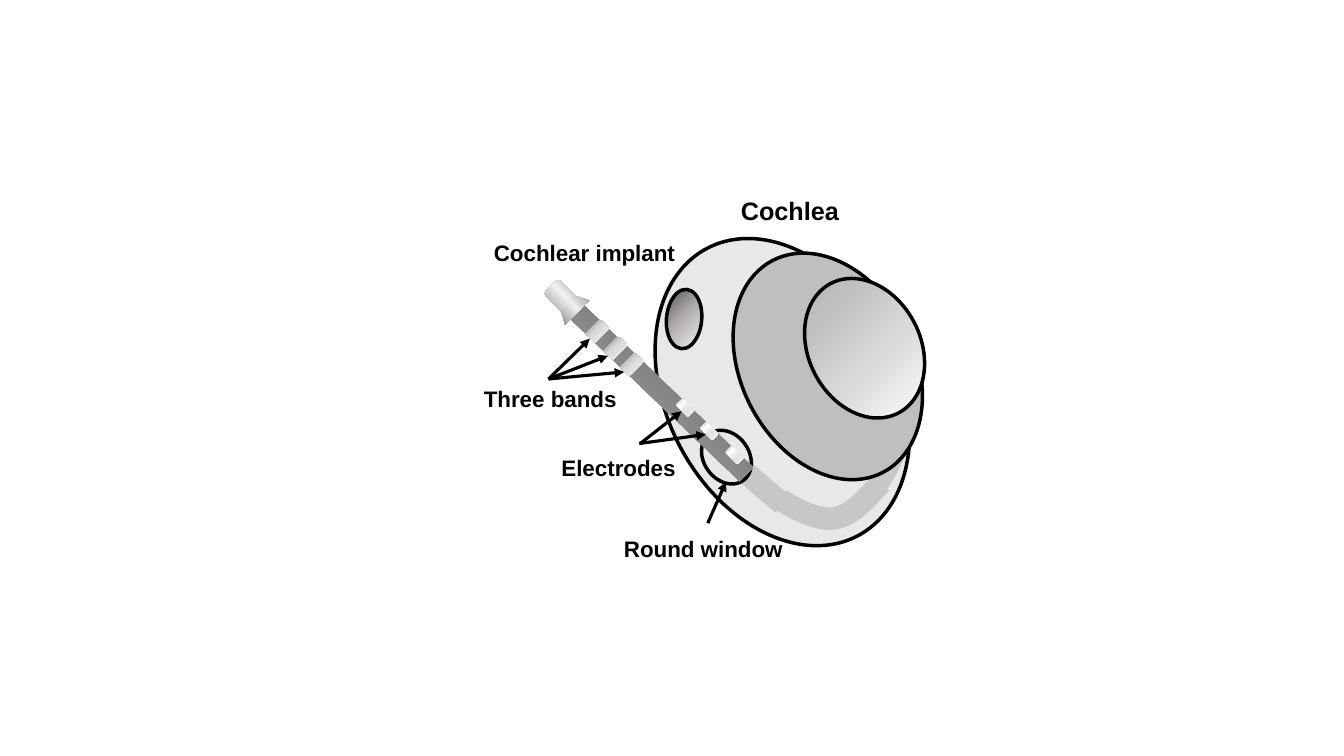
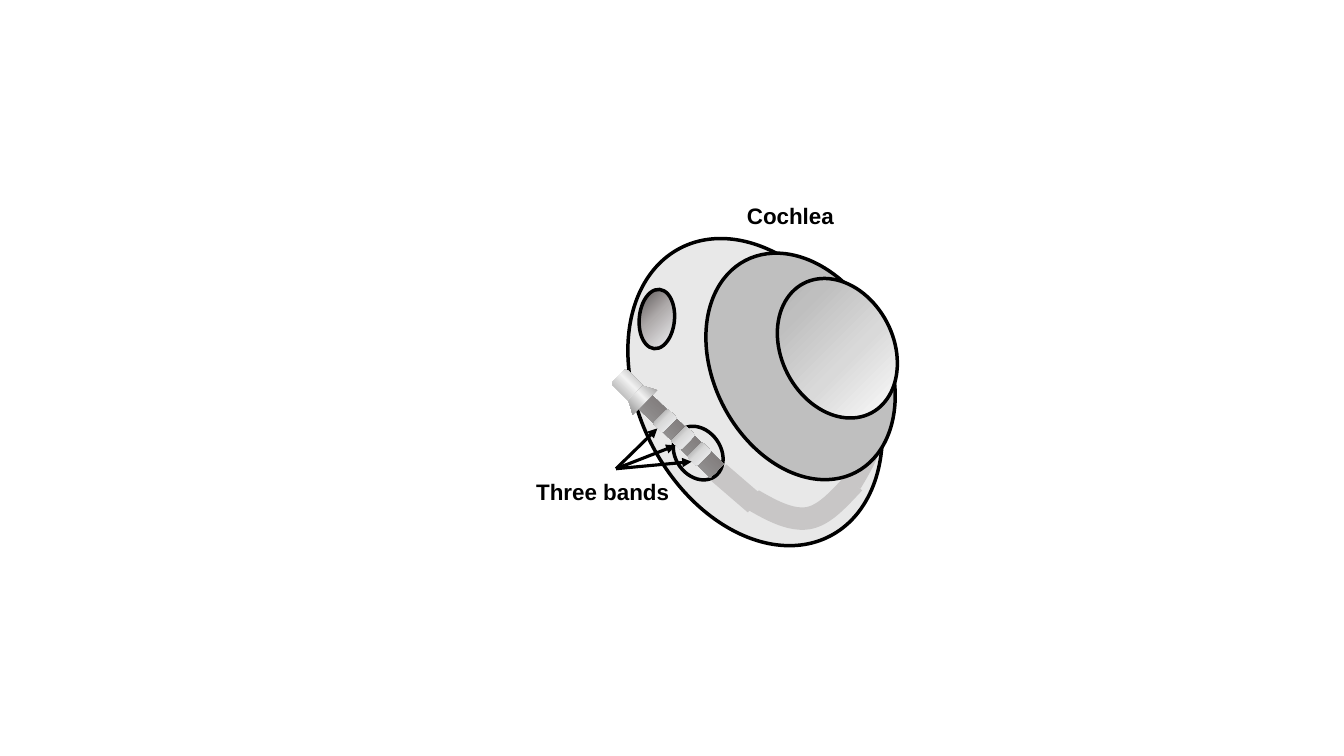
from lxml.etree import SubElement
from pptx import Presentation
from pptx.dml.color import RGBColor
from pptx.enum.shapes import MSO_CONNECTOR, MSO_SHAPE
from pptx.oxml.ns import qn
from pptx.util import Pt

PX = 9144
SLIDE_SIZE = (1333, 750)
FONT = "Arial"

BLACK = RGBColor(0x00, 0x00, 0x00)
WHITE = RGBColor(0xFF, 0xFF, 0xFF)
ICE = RGBColor(0xF6, 0xF8, 0xFC)
MIST = RGBColor(0xF2, 0xF2, 0xF2)
PEARL = RGBColor(0xE1, 0xE2, 0xE3)
LIGHT = RGBColor(0xD9, 0xD9, 0xD9)
SILVER = RGBColor(0xC5, 0xC5, 0xC5)
GREY = RGBColor(0xBF, 0xBF, 0xBF)
DUCT = RGBColor(0xAF, 0xAB, 0xAB)
STEEL = RGBColor(0xA6, 0xA6, 0xA6)
EDGE = RGBColor(0x8E, 0x8C, 0x8C)
DARK = RGBColor(0x76, 0x71, 0x71)

APEX_STOPS = [(0, ICE), (21, MIST), (44, LIGHT), (72, GREY), (100, STEEL)]
OVAL_STOPS = [(0, ICE), (54, DUCT), (82, DARK), (100, DARK)]
ROD_STOPS = [(0, LIGHT), (20, STEEL), (71, DARK), (100, DARK)]
BAND_STOPS = [(0, ICE), (54, LIGHT), (82, STEEL), (100, DARK)]
ELECTRODE_STOPS = [(0, ICE), (39, PEARL), (69, WHITE), (100, GREY)]
HEAD_STOPS = [(0, EDGE), (25, SILVER), (45, MIST), (82, STEEL), (100, DARK)]

DUCT_START = ((740, 469), (776, 500))
DUCT_CURVES = [
    [((774, 496), (793, 507), (812, 517), (829, 514)),
     ((829, 514), (845, 511), (859, 495), (874, 479))],
    [((871, 479), (877, 469), (883, 459), (887, 449)),
     ((887, 449), (891, 439), (893, 428), (895, 417))],
]
BASE_TURN = (661, 228, 230, 322)
MIDDLE_TURN = (735, 245, 172, 237)
APEX = (802, 273, 111, 145)
OVAL_WINDOW = (661, 287, 35, 59)
TURN_TILT, ROUND_TILT, OVAL_TILT = 332.5, 324.4, 5.2
ROD_TILT, BAND_TILT, COLLAR_TILT = 313.8, 44.9, 135.1

BANDS = [(586, 318), (604, 335), (620, 351)]
BAND_SIZE = (13, 21)
ELECTRODE_SIZE = (17, 9)
HEAD = (541, 286, 36, 21)
COLLAR = (551, 299, 34, 13)
BAND_ARROW_START = (544, 376)
BAND_ARROW_TIPS = [(585, 336), (603, 353), (619, 369)]

SLIDES = [
    {
        "cochlea_shift": 0,
        "implant_shift": (0, 0),
        "round_window": (698, 425, 45, 57),
        "rod": (643, 265, 19, 243),
        "electrodes": [(671, 400), (695, 423), (720, 447)],
        "arrows": [((634, 440), (700, 431)), ((635, 440), (676, 408)),
                   ((702, 519), (720, 478))],
        "labels": [("Three bands", (470, 377, 178, 37), 16),
                   ("Electrodes", (547, 446, 141, 37), 16),
                   ("Cochlear implant", (480, 232, 237, 37), 16),
                   ("Round window", (609, 526, 187, 37), 16),
                   ("Cochlea", (725, 189, 153, 40), 18)],
    },
    {
        "cochlea_shift": -27,
        "implant_shift": (67, 89),
        "round_window": (670, 421, 45, 57),
        "rod": (662, 374, 19, 110),
        "electrodes": [],
        "arrows": [],
        "labels": [("Three bands", (522, 469, 192, 37), 16),
                   ("Cochlea", (731, 196, 165, 37), 16)],
    },
]


def emu(values):
    return [round(value * PX) for value in values]


def moved(place, dx, dy=0):
    return (place[0] + dx, place[1] + dy, *place[2:])


def fill_gradient(shape, stops, angle=None):
    shape.fill.gradient()
    gradient = shape._element.spPr.find(qn("a:gradFill"))
    gradient.clear()
    gradient.set("rotWithShape", "1")
    stop_list = SubElement(gradient, qn("a:gsLst"))
    for position, color in stops:
        stop = SubElement(stop_list, qn("a:gs"), pos=str(position * 1000))
        SubElement(stop, qn("a:srgbClr"), val=str(color))
    if angle is None:
        radial = SubElement(gradient, qn("a:path"))
        radial.set("path", "circle")
        SubElement(radial, qn("a:fillToRect"), l="100000", t="100000")
    else:
        SubElement(gradient, qn("a:lin"), ang=str(angle * 60000), scaled="0")


def add_part(slide, kind, place, tilt, stops=None, angle=None, color=None,
             alpha=None, outlined=False, flipped=False):
    part = slide.shapes.add_shape(kind, *emu(place))
    part.rotation = tilt
    part.shadow.inherit = False
    if stops:
        fill_gradient(part, stops, angle)
    elif color is not None:
        part.fill.solid()
        part.fill.fore_color.rgb = color
    else:
        part.fill.background()
    if alpha:
        solid = part._element.spPr.find(qn("a:solidFill"))
        SubElement(solid[0], qn("a:alpha"), val=str(alpha * 1000))
    if outlined:
        part.line.color.rgb = BLACK
        part.line.width = Pt(2.5)
    else:
        part.line.fill.background()
    if flipped:
        part._element.spPr.xfrm.set("flipH", "1")


def add_line(slide, start, end, color, width, arrow=False):
    line = slide.shapes.add_connector(MSO_CONNECTOR.STRAIGHT, *emu(start), *emu(end))
    line.line.color.rgb = color
    line.line.width = Pt(width)
    if arrow:
        SubElement(line.line._get_or_add_ln(), qn("a:tailEnd"), type="triangle")
    SubElement(line._element.spPr, qn("a:effectLst"))


def bezier_point(curve, t):
    weights = ((1 - t) ** 3, 3 * t * (1 - t) ** 2, 3 * t ** 2 * (1 - t), t ** 3)
    return [sum(w * point[axis] for w, point in zip(weights, curve)) for axis in (0, 1)]


def add_duct_curve(slide, curves, dx, steps=12):
    points = [curves[0][0]]
    points += [bezier_point(curve, step / steps)
               for curve in curves for step in range(1, steps + 1)]
    points = [emu(moved(point, dx)) for point in points]
    builder = slide.shapes.build_freeform(*points[0])
    builder.add_line_segments(points[1:], close=False)
    duct = builder.convert_to_shape()
    duct.shadow.inherit = False
    duct.fill.background()
    duct.line.color.rgb = DUCT
    duct.line.width = Pt(16)


def add_cochlea(slide, dx, round_window):
    add_line(slide, *[moved(point, dx) for point in DUCT_START], DUCT, 16)
    for curves in DUCT_CURVES:
        add_duct_curve(slide, curves, dx)
    oval = MSO_SHAPE.OVAL
    add_part(slide, oval, moved(BASE_TURN, dx), TURN_TILT,
             color=LIGHT, alpha=60, outlined=True)
    add_part(slide, oval, moved(MIDDLE_TURN, dx), TURN_TILT, color=GREY, outlined=True)
    add_part(slide, oval, moved(APEX, dx), TURN_TILT, APEX_STOPS, outlined=True)
    add_part(slide, oval, round_window, ROUND_TILT, outlined=True)
    add_part(slide, oval, moved(OVAL_WINDOW, dx), OVAL_TILT, OVAL_STOPS, outlined=True)


def add_implant(slide, shift, rod, electrodes):
    rounded = MSO_SHAPE.ROUNDED_RECTANGLE
    add_part(slide, MSO_SHAPE.RECTANGLE, rod, ROD_TILT, ROD_STOPS, 0)
    for corner in BANDS:
        add_part(slide, rounded, moved(corner + BAND_SIZE, *shift), BAND_TILT,
                 BAND_STOPS, flipped=True)
    for corner in electrodes:
        add_part(slide, rounded, corner + ELECTRODE_SIZE, BAND_TILT,
                 ELECTRODE_STOPS, flipped=True)
    add_part(slide, rounded, moved(HEAD, *shift), BAND_TILT, HEAD_STOPS, 90, flipped=True)
    add_part(slide, MSO_SHAPE.FLOWCHART_MANUAL_OPERATION, moved(COLLAR, *shift),
             COLLAR_TILT, HEAD_STOPS, 0)


def add_label(slide, text, place, size):
    frame = slide.shapes.add_textbox(*emu(place)).text_frame
    frame.word_wrap = True
    run = frame.paragraphs[0].add_run()
    run.text = text
    run.font.name = FONT
    run.font.size = Pt(size)
    run.font.bold = True
    run.font.color.rgb = BLACK


def main():
    deck = Presentation()
    deck.slide_width, deck.slide_height = emu(SLIDE_SIZE)
    for content in SLIDES:
        slide = deck.slides.add_slide(deck.slide_layouts[6])
        shift = content["implant_shift"]
        add_cochlea(slide, content["cochlea_shift"], content["round_window"])
        add_implant(slide, shift, content["rod"], content["electrodes"])
        band_arrows = [(moved(BAND_ARROW_START, *shift), moved(tip, *shift))
                       for tip in BAND_ARROW_TIPS]
        for start, end in band_arrows + content["arrows"]:
            add_line(slide, start, end, BLACK, 2.25, arrow=True)
        for text, place, size in content["labels"]:
            add_label(slide, text, place, size)
    deck.save("out.pptx")


if __name__ == "__main__":
    main()
